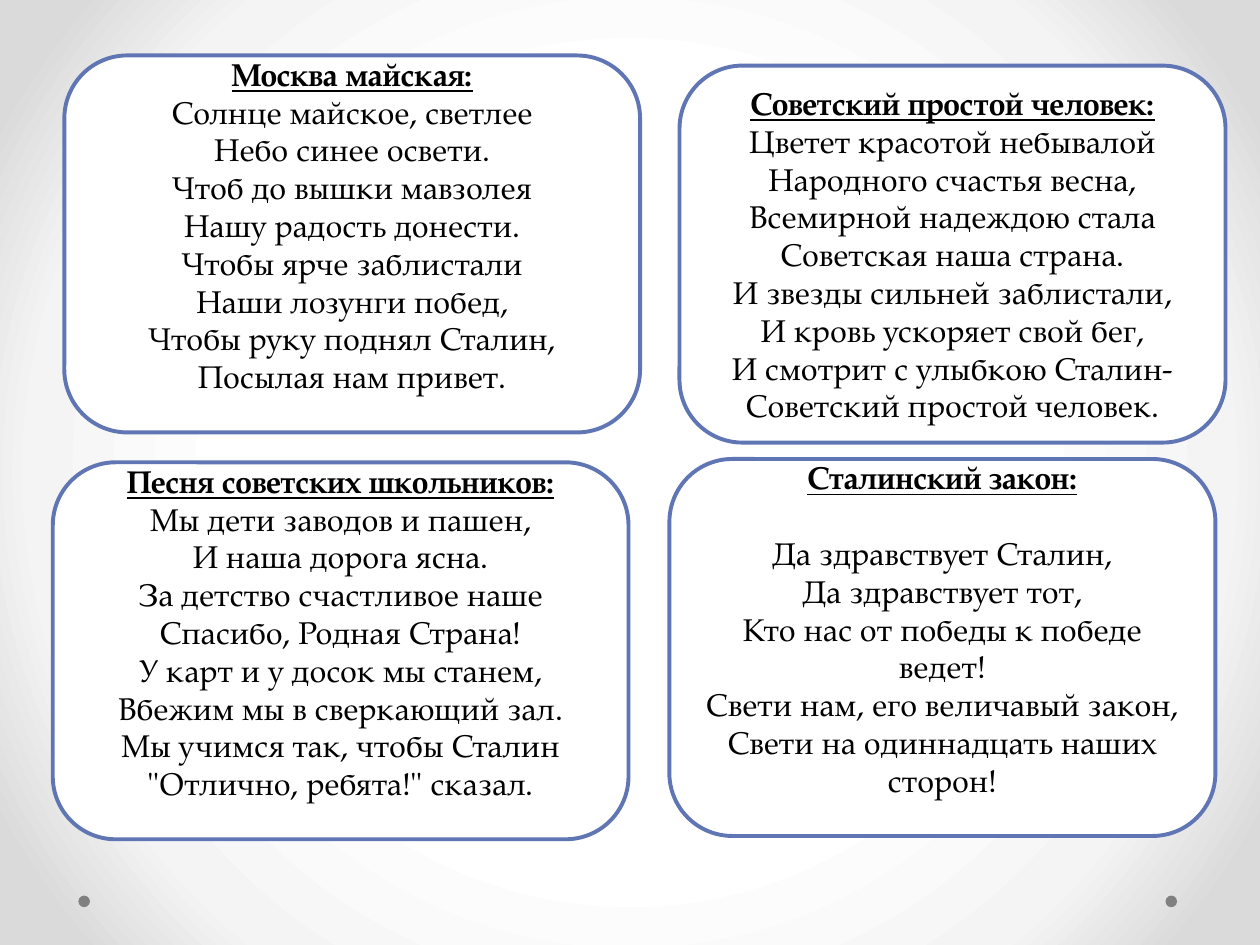
"""Build a slide with four song excerpts in rounded cards."""
import pptx
import pptx.dml.color
import pptx.enum.shapes
import pptx.enum.text
import pptx.oxml
import pptx.oxml.ns
import pptx.util

Pt = pptx.util.Pt
SHAPE = pptx.enum.shapes.MSO_SHAPE
LINE = 21.6


def color(value):
    return pptx.dml.color.RGBColor.from_string(value)


def add_text(p, text, bold=False, underline=False, after=0):
    p.alignment = pptx.enum.text.PP_ALIGN.CENTER
    p.space_after = Pt(after)
    r = p.add_run()
    r.text = text
    r.font.name = "TeX Gyre Pagella"
    r.font.size = Pt(18)
    r.font.bold = bold
    r.font.underline = underline
    r.font.color.rgb = color("000000")


prs = pptx.Presentation()
prs.slide_width, prs.slide_height = Pt(720), Pt(540)
s = prs.slides.add_slide(prs.slide_layouts[6])

s.background.fill.gradient()
grad = s.element.find(".//" + pptx.oxml.ns.qn("a:gradFill"))
for child in list(grad):
    grad.remove(child)
ns = pptx.oxml.ns.nsdecls("a")
stops = "".join(
    f'<a:gs pos="{pos * 1000}"><a:srgbClr val="{value}"/></a:gs>'
    for pos, value in [(50, "FFFFFF"), (76, "F4F4F4"), (92, "DADADA")]
)
grad.append(pptx.oxml.parse_xml(f"<a:gsLst {ns}>{stops}</a:gsLst>"))
grad.append(pptx.oxml.parse_xml(
    f'<a:path {ns} path="circle">'
    '<a:fillToRect l="50000" t="50000" r="50000" b="50000"/></a:path>'
))

for x in (666, 44.8):
    sp = s.shapes.add_shape(SHAPE.OVAL, Pt(x), Pt(511.8), Pt(6.6), Pt(6.6))
    sp.shadow.inherit = False
    sp.fill.solid()
    sp.fill.fore_color.rgb = color("808080")
    sp.line.fill.background()

# left, top, width, space after the title, extra space at the bottom, lines
songs = [
    (36.8, 31.7, 329, 0, LINE, [
        "Москва майская:",
        "Солнце майское, светлее",
        "Небо синее освети.",
        "Чтоб до вышки мавзолея",
        "Нашу радость донести.",
        "Чтобы ярче заблистали",
        "Наши лозунги побед,",
        "Чтобы руку поднял Сталин,",
        "Посылая нам привет.",
    ]),
    (30.2, 264.2, 329, 0, LINE, [
        "Песня советских школьников:",
        "Мы дети заводов и пашен,",
        "И наша дорога ясна.",
        "За детство счастливое наше",
        "Спасибо, Родная Страна!",
        "У карт и у досок мы станем,",
        "Вбежим мы в сверкающий зал.",
        "Мы учимся так, чтобы Сталин",
        '"Отлично, ребята!" сказал.',
    ]),
    (388.3, 37.5, 312, 0, 0, [
        "Советский простой человек:",
        "Цветет красотой небывалой",
        "Народного счастья весна,",
        "Всемирной надеждою стала",
        "Советская наша страна.",
        "И звезды сильней заблистали,",
        "И кровь ускоряет свой бег,",
        "И смотрит с улыбкою Сталин-",
        "Советский простой человек.",
    ]),
    (382.5, 262.3, 312, LINE, LINE, [
        "Сталинский закон:",
        "Да здравствует Сталин,",
        "Да здравствует тот,",
        "Кто нас от победы к победе ведет!",
        "Свети нам, его величавый закон,",
        "Свети на одиннадцать наших сторон!",
    ]),
]
for x, y, width, after, bottom, (title, *verses) in songs:
    sp = s.shapes.add_shape(SHAPE.ROUNDED_RECTANGLE, Pt(x), Pt(y), Pt(width), Pt(215.4))
    sp.shadow.inherit = False
    sp.fill.solid()
    sp.fill.fore_color.rgb = color("FFFFFF")
    sp.line.color.rgb = color("6076B4")
    sp.line.width = Pt(2.25)
    tf = sp.text_frame
    tf.word_wrap = True
    tf.vertical_anchor = pptx.enum.text.MSO_ANCHOR.MIDDLE
    tf.margin_bottom = Pt(3.6 + bottom)
    add_text(tf.paragraphs[0], title, bold=True, underline=True, after=after)
    for verse in verses:
        add_text(tf.add_paragraph(), verse)

prs.save("out.pptx")
